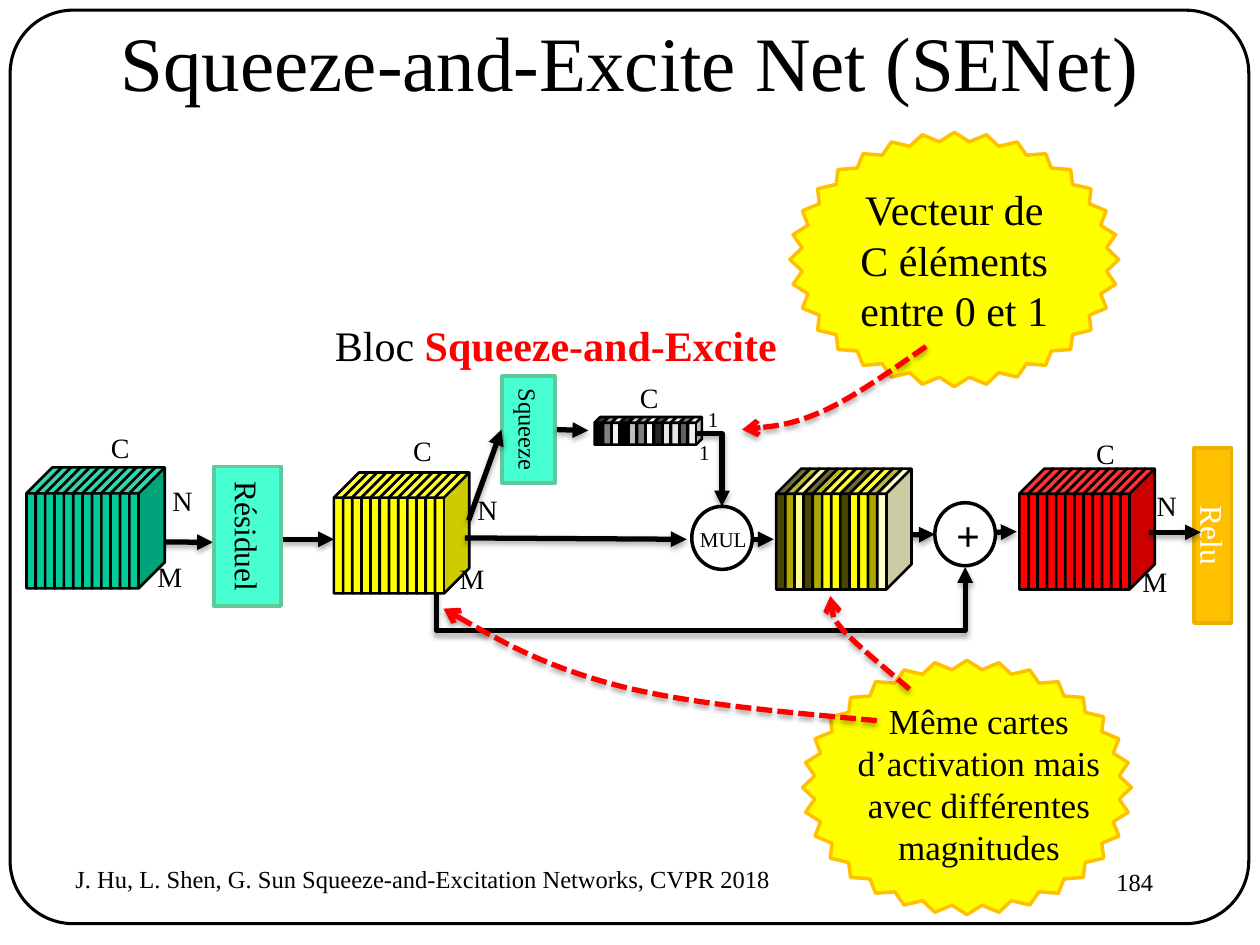
"""Builds the slide about the Squeeze-and-Excite block as out.pptx."""
from lxml.etree import SubElement
from pptx import Presentation
from pptx.dml.color import RGBColor
from pptx.enum.dml import MSO_LINE
from pptx.enum.shapes import MSO_CONNECTOR, MSO_SHAPE
from pptx.enum.text import MSO_ANCHOR, PP_ALIGN
from pptx.oxml.ns import qn
from pptx.util import Pt

TITLE = "Squeeze-and-Excite Net (SENet)"
BLACK, WHITE, RED, YELLOW, AMBER = "000000", "FFFFFF", "FF0000", "FFFF00", "FFC000"
DARK, OLIVE = "484600", "ACA800"
LEFT, CENTER, RIGHT = PP_ALIGN.LEFT, PP_ALIGN.CENTER, PP_ALIGN.RIGHT

BACK_ARROWS = [
    ((414, 308.2), (442.1, 308.2)), ((161.3, 308.2), (190.8, 308.2)),
    ((554.4, 304.6), (581, 303.8)), ((82.1, 309.6), (121.7, 309.9)),
    ((506.2, 306), (534.2, 305.3)),
]
FRONT_ARROWS = [((265.7, 307.4), (392.4, 308.2)), ((656.6, 304.2), (686.2, 304.2))]
SKIP = ((243.4, 308.9), (551.5, 324), "bentConnector4", (1900, 339300))
SCALE = ((398.2, 247.7), (412.6, 289.4), "bentConnector2", ())
SQUEEZE_IN = ((267.8, 297.4), (286.6, 245.5))
SQUEEZE_OUT = ((318.2, 245.5), (336.2, 246))

BOXES = [
    ("Résiduel", (101.5, 287.3, 79.9, 38.2), "47FFD1", "60C99C", 18, BLACK),
    ("Relu", (643, 295.2, 100.1, 21.6), AMBER, "EAB200", 18, WHITE),
    ("Squeeze", (271.4, 230.4, 61.2, 30.2), "47FFD1", "60C99C", 14, BLACK),
]
CIRCLES = [((534.2, 287.3, 34.6, 36), ["+"]), ((395.3, 289.4, 34.6, 36), [])]

MAP_SIZE, MAP_STEP, MAP_DEPTH = (19.6, 69.1), 5.25, 0.735
STACKS = [
    ((15.1, 267.1), (20.2, 69.1), 5.35, MAP_DEPTH, ["00CC99"] * 12),
    ((190.8, 270), MAP_SIZE, MAP_STEP, MAP_DEPTH, [YELLOW] * 12),
    ((582.5, 267.8), MAP_SIZE, MAP_STEP, MAP_DEPTH, [RED] * 12),
    ((339.8, 238.3), (7.9, 15.8), 4.85, 0.411,
     [BLACK, "808080", "F2F2F2", BLACK, "BFBFBF", "808080", WHITE, "262626",
      "E6E6E6", "E6E6E6", "606060", "F2F2F2"]),
    ((443.5, 267.8), MAP_SIZE, MAP_STEP, MAP_DEPTH,
     [DARK, OLIVE, "FFFC8F", DARK, OLIVE, YELLOW, YELLOW, DARK, YELLOW, YELLOW,
      OLIVE, "FFFFCC"]),
]

AXIS_LABELS = {
    "C": [(56.2, 242.6), (229, 244.1), (619.2, 246.2), (358.6, 213.8)],
    "N": [(91.4, 272.9), (265.7, 277.9), (653.8, 275.8)],
    "M": [(82.8, 316.1), (255.6, 317.5), (645.8, 319)],
}
TEXTS = [
    (["184"], (371.2 + 145, 491.8, 149.8, 36), 14, RIGHT, True),
    ([[("Bloc ", BLACK, False), ("Squeeze-and-Excite", RED, True)]],
     (184.3, 179.3, 269.3, 36), 24, LEFT, False),
    (["J. Hu, L. Shen, G. Sun Squeeze-and-Excitation Networks, CVPR 2018"],
     (36, 490.3, 627.8, 24.5), 14, LEFT, True),
    (["1"], (397.4, 229, 20.9, 21.6), 12, LEFT, False),
    (["1"], (392.4, 247.7, 28.8, 21.6), 12, LEFT, True),
    (["MUL"], (392.4, 297.4, 41.8, 21.6), 12, CENTER, False),
]
MAGNITUDES = (["Même cartes", "d’activation mais", "avec différentes", "magnitudes"],
              (482.4, 396, 154.1, 104.4), 20, CENTER, False)
STAR_SIZE = (187.9, 145.4)
STARS = [((451.4, 75.6), ["Vecteur de C éléments", "entre 0 et 1"]), ((458.6, 377.3), [])]
CURVES = [
    [(529.2, 198), (508.3, 212.4), (488.2, 226.8), (470.9, 234.7),
     (452.9, 242.6), (438.5, 244.1), (424.1, 245.5)],
    [(501.1, 411.8), (447.8, 406.8), (394.6, 402.5), (352.8, 391.7),
     (311.8, 380.9), (282.2, 364.3), (253.4, 347.8)],
    [(519.8, 393.8), (504.7, 380.9), (489.6, 368.6), (481.7, 360),
     (474.5, 351.4), (474.5, 345.6), (474.5, 340.6)],
]


def rgb(code):
    return RGBColor.from_string(code)


def pts(values):
    return [Pt(v) for v in values]


def write(tf, lines, size, color=BLACK, align=CENTER, bold=False):
    for i, line in enumerate(lines):
        p = tf.paragraphs[0] if i == 0 else tf.add_paragraph()
        p.alignment = align
        for text, tint, heavy in [(line, color, bold)] if isinstance(line, str) else line:
            r = p.add_run()
            r.text = text
            for key, value in dict(name="Times New Roman", size=Pt(size), bold=heavy).items():
                setattr(r.font, key, value)
            r.font.color.rgb = rgb(tint)


def add_text(s, lines, box, size, align, wrap):
    tf = s.shapes.add_textbox(*pts(box)).text_frame
    tf.word_wrap = wrap
    write(tf, lines, size, align=align)


def add_shape(shapes, kind, box, fill, line, width, adj=None):
    sp = shapes.add_shape(kind, *pts(box))
    sp.shadow.inherit = False
    if fill:
        sp.fill.solid()
        sp.fill.fore_color.rgb = rgb(fill)
    else:
        sp.fill.background()
    sp.line.color.rgb = rgb(line)
    sp.line.width = Pt(width)
    if adj is not None:
        sp.adjustments[0] = adj
    sp.text_frame.vertical_anchor = MSO_ANCHOR.MIDDLE
    return sp


def style_arrow(sp, color, head, dash=None):
    sp.line.color.rgb = rgb(color)
    sp.line.width = Pt(3)
    if dash:
        sp.line.dash_style = dash
    props = sp._element.spPr
    SubElement(props.find(qn("a:ln")), qn("a:tailEnd"), type=head)
    shadow = SubElement(SubElement(props, qn("a:effectLst")), qn("a:outerShdw"),
                        blurRad="40000", dist="23000", dir="5400000", rotWithShape="0")
    SubElement(SubElement(shadow, qn("a:srgbClr"), val=BLACK), qn("a:alpha"), val="35000")


def add_arrow(s, start, end, preset=None, adjusts=()):
    kind = MSO_CONNECTOR.ELBOW if preset else MSO_CONNECTOR.STRAIGHT
    c = s.shapes.add_connector(kind, *pts(start + end))
    if preset:
        geom = c._element.spPr.find(qn("a:prstGeom"))
        geom.set("prst", preset)
        guides = geom.find(qn("a:avLst"))
        for i, value in enumerate(adjusts, 1):
            SubElement(guides, qn("a:gd"), name=f"adj{i}", fmla=f"val {value}")
    style_arrow(c, BLACK, "triangle")
    return c


def add_curve(s, points):
    corners = [tuple(pts(point)) for point in points]
    builder = s.shapes.build_freeform(*corners[0], scale=1.0)
    builder.add_line_segments(corners[1:], close=False)
    sp = builder.convert_to_shape()
    sp.fill.background()
    outline = next(sp._element.iter(qn("a:path")))
    steps = outline.findall(qn("a:lnTo"))
    for i in range(0, len(steps), 3):
        bend = SubElement(outline, qn("a:cubicBezTo"))
        for step in steps[i:i + 3]:
            bend.append(step[0])
            outline.remove(step)
    style_arrow(sp, RED, "arrow", MSO_LINE.SQUARE_DOT)


def main():
    prs = Presentation()
    prs.slide_width, prs.slide_height = Pt(720), Pt(540)
    s = prs.slides.add_slide(prs.slide_layouts[5])
    title = s.shapes.title
    title.left, title.top, title.width, title.height = pts((54, -10.1, 612, 90))
    title.text_frame.vertical_anchor = MSO_ANCHOR.MIDDLE
    write(title.text_frame, [TITLE], 44)
    add_shape(s.shapes, MSO_SHAPE.ROUNDED_RECTANGLE, (5.8, 5.8, 707.8, 522),
              None, BLACK, 1.75, 0.069)

    for start, end in BACK_ARROWS:
        add_arrow(s, start, end)
    add_arrow(s, *SKIP)

    boxes = {}
    for text, box, fill, line, size, color in BOXES:
        sp = boxes[text] = add_shape(s.shapes, MSO_SHAPE.RECTANGLE, box, fill, line, 2)
        sp.rotation = 90
        write(sp.text_frame, [text], size, color)
    for box, lines in CIRCLES:
        sp = add_shape(s.shapes, MSO_SHAPE.OVAL, box, WHITE, BLACK, 2)
        write(sp.text_frame, lines, 24, bold=True)
    for (x, y), size, step, depth, colors in STACKS:
        group = s.shapes.add_group_shape()
        for i, color in enumerate(colors):
            add_shape(group.shapes, MSO_SHAPE.CUBE, (x + i * step, y) + size,
                      color, BLACK, 1.5, depth)

    for start, end in FRONT_ARROWS:
        add_arrow(s, start, end)
    add_arrow(s, *SCALE)
    c = add_arrow(s, *SQUEEZE_IN)
    c.end_connect(boxes["Squeeze"], 2)
    c.end_x, c.end_y = pts(SQUEEZE_IN[1])
    c = add_arrow(s, *SQUEEZE_OUT)
    c.begin_connect(boxes["Squeeze"], 0)
    c.begin_x, c.begin_y = pts(SQUEEZE_OUT[0])

    for label, spots in AXIS_LABELS.items():
        width = 28.8 if label == "M" else 25.6
        for spot in spots:
            add_text(s, [label], spot + (width, 26.6), 16, LEFT, label == "M")
    for text in TEXTS:
        add_text(s, *text)
    for spot, lines in STARS:
        sp = add_shape(s.shapes, MSO_SHAPE.STAR_32_POINT, spot + STAR_SIZE,
                       YELLOW, AMBER, 2, 0.465)
        write(sp.text_frame, lines, 24)
    add_text(s, *MAGNITUDES)
    for points in CURVES:
        add_curve(s, points)
    prs.save("out.pptx")


if __name__ == "__main__":
    main()
